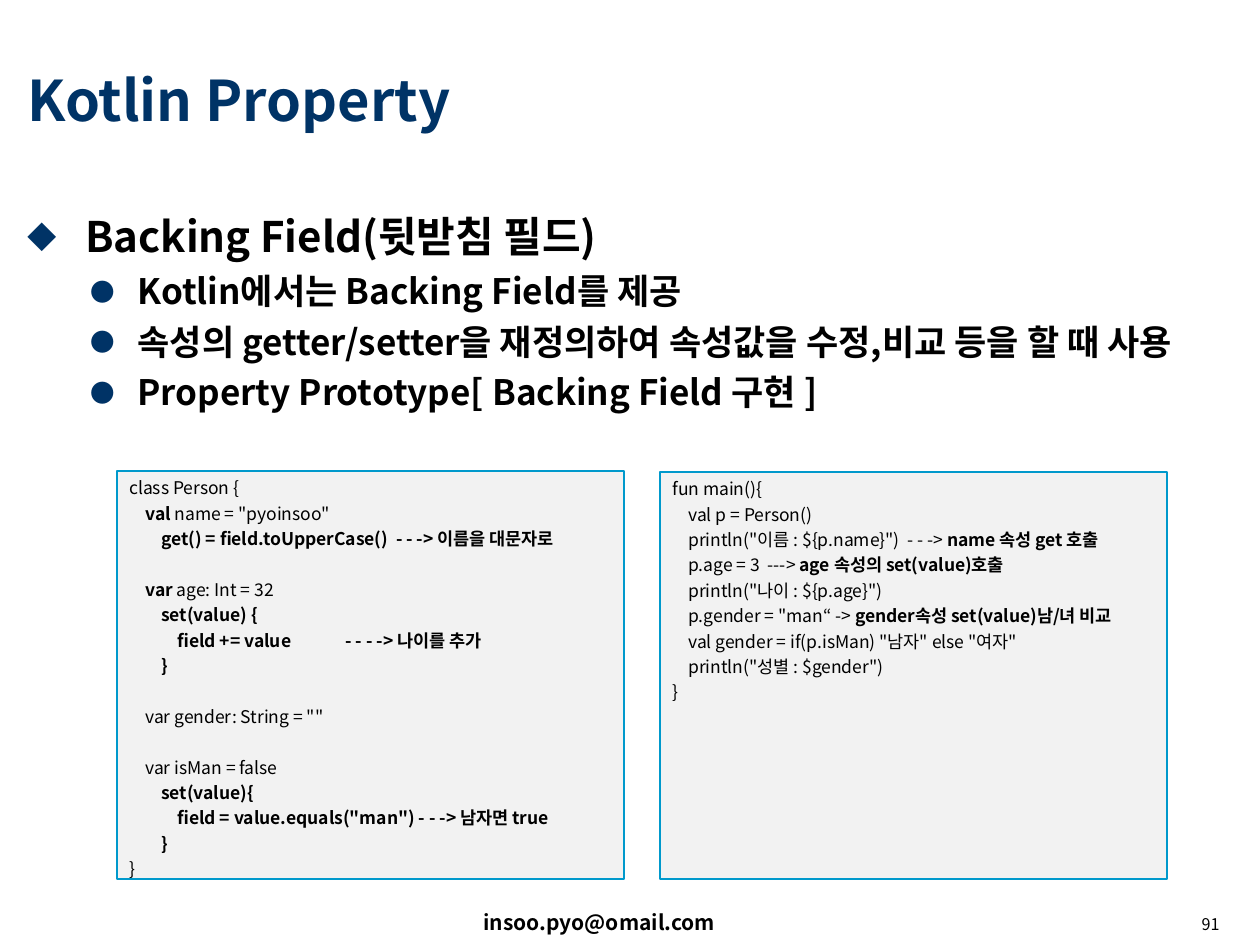
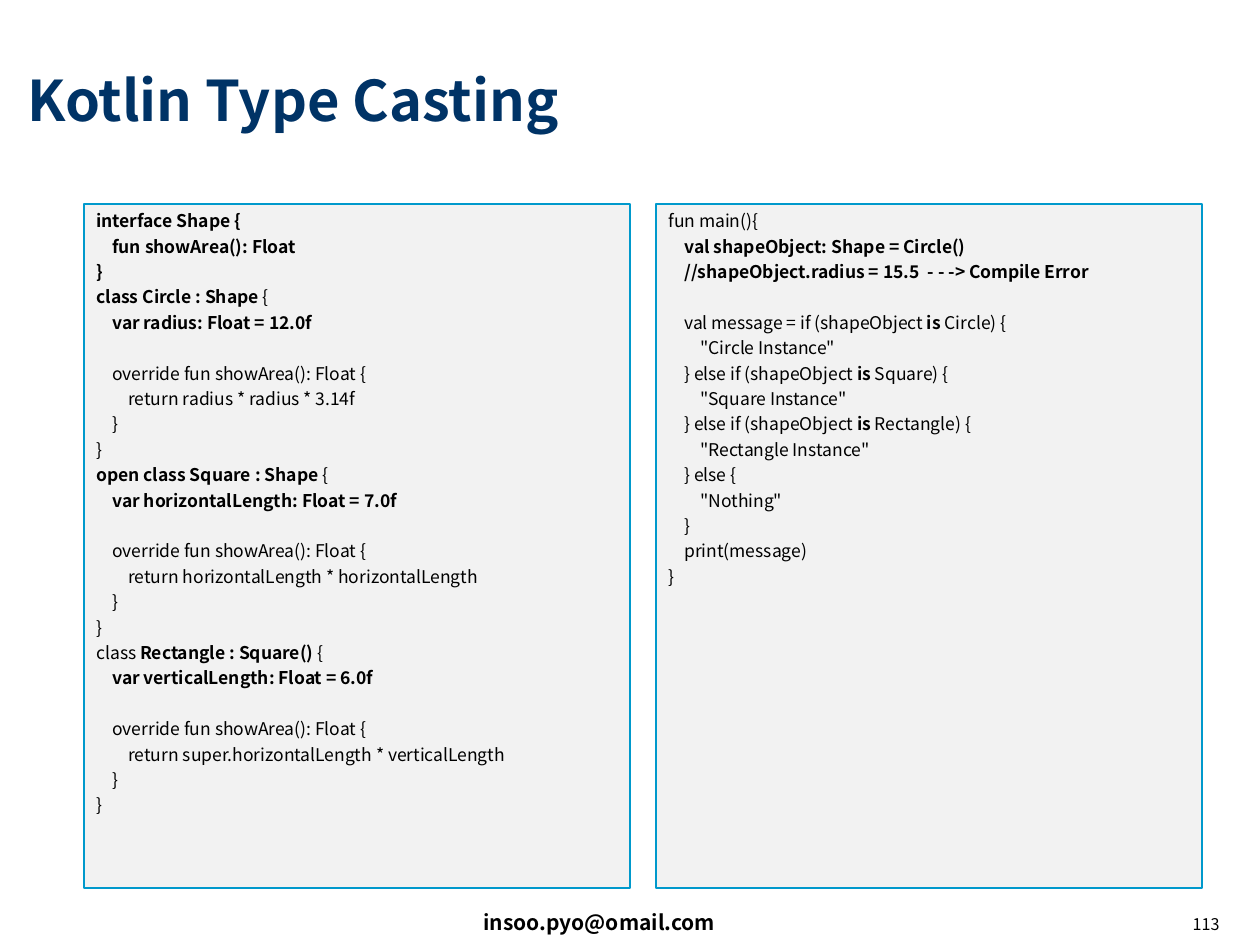
from lxml import etree
from pptx import Presentation
from pptx import util as u
from pptx.dml.color import RGBColor
from pptx.enum import shapes, text
from pptx.oxml.ns import qn

SCALE = u.Inches(1) / 126  # EMU in one px
FONT = "Noto Sans CJK KR"
COLORS = {"navy": "003366", "ink": "000000", "panel": "F2F2F2", "border": "0099CC"}
EMAIL = "insoo.pyo@omail.com"
TITLE_BOX = (15, 23, 1217, 152)
BODY_BOX = (15, 204, 1217, 675)
EMAIL_BOX = (471, 903, 407, 38)
PAGE_BOX = (970, 910, 262, 35)
CODE_TABS = (16, 32, 48, 216)  # three indent steps and the remark column
LINE_GAP, BLANK_LINE_GAP = 2.5, 17
BULLETS = [("◆", 48, -48, 24, 6), ("●", 102, -39, 20, 5)]  # mark, margin, indent, size, gap

person_code = '''class Person {
    **val** name = "pyoinsoo"
        **get() = field.toUpperCase()  - - -> 이름을 대문자로**

    **var** age: Int = 32
        **set(value) {**
            **field += value\t- - - -> 나이를 추가**
        **}**

    var gender: String = ""

    var isMan = false
        **set(value){**
            **field = value.equals("man") - - -> 남자면 true**
        **}**
}'''

person_main_code = '''fun main(){
    val p = Person()
    println("이름 : ${p.name}")  - - -> **name 속성 get 호출**
    p.age = 3  ---> **age 속성의 set(value)호출**
    println("나이 : ${p.age}")
    p.gender = "man“ -> **gender속성 set(value)남/녀 비교**
    val gender = if(p.isMan) "남자" else "여자"
    println("성별 : $gender")
}'''

shape_code = '''**interface Shape {**
    **fun showArea(): Float**
**}**
**class Circle : Shape **{
    **var radius: Float = 12.0f**

    override fun showArea(): Float {
        return radius * radius * 3.14f
    }
}
**open class Square : Shape **{
    **var horizontalLength: Float = 7.0f**

    override fun showArea(): Float {
        return horizontalLength * horizontalLength
    }
}
class **Rectangle : Square() **{
    **var verticalLength: Float = 6.0f**

    override fun showArea(): Float {
        return super.horizontalLength * verticalLength
    }
}'''

casting_main_code = '''fun main(){
    **val shapeObject: Shape = Circle()**
    **//shapeObject.radius = 15.5  - - -> Compile Error**

    val message = if (shapeObject **is** Circle) {
        "Circle Instance"
    } else if (shapeObject **is** Square) {
        "Square Instance"
    } else if (shapeObject **is** Rectangle) {
        "Rectangle Instance"
    } else {
        "Nothing"
    }
    print(message)
}'''

pages = [
    {
        "title": "Kotlin Property",
        "number": "91",
        "list": [
            (0, " Backing Field(뒷받침 필드)"),
            (1, " Kotlin에서는 Backing Field를 제공"),
            (1, " 속성의 getter/setter을 재정의하여 속성값을 수정,비교 등을 할 때 사용"),
            (1, " Property Prototype[ Backing Field 구현 ]"),
        ],
        "panels": [
            ((117, 471, 507, 408), person_code),
            ((660, 472, 507, 407), person_main_code),
        ],
    },
    {
        "title": "Kotlin Type Casting",
        "number": "113",
        "list": [],
        "panels": [
            ((84, 204, 546, 684), shape_code),
            ((656, 204, 546, 684), casting_main_code),
        ],
    },
]


def px(*lengths):
    """Turn px into a list of EMU."""
    return [u.Emu(round(length * SCALE)) for length in lengths]


def style(paragraph, size, color="ink", bold=None, extras=()):
    """Set font and left alignment; extras are further property elements."""
    font = paragraph.font
    font.size, font.bold, font.name = u.Pt(size), bold, FONT
    font.color.rgb = RGBColor.from_string(COLORS[color])
    paragraph.alignment = text.PP_ALIGN.LEFT
    defaults = paragraph._p.pPr.find(qn("a:defRPr"))
    etree.SubElement(defaults, qn("a:ea"), typeface=FONT)
    for extra in extras:
        defaults.addprevious(extra)


prs = Presentation()
prs.slide_width, prs.slide_height = px(1260, 945)

for page in pages:
    layout = prs.slide_layouts[1 if page["list"] else 5]
    slide = prs.slides.add_slide(layout)

    title = slide.shapes.title
    title.left, title.top, title.width, title.height = px(*TITLE_BOX)
    title.text_frame.text = page["title"]
    title.text_frame.auto_size = text.MSO_AUTO_SIZE.NONE
    title.text_frame.vertical_anchor = text.MSO_ANCHOR.MIDDLE
    style(title.text_frame.paragraphs[0], 32, "navy", True)

    if page["list"]:
        body = slide.placeholders[1]
        body.left, body.top, body.width, body.height = px(*BODY_BOX)
        body.text_frame.auto_size = text.MSO_AUTO_SIZE.NONE
        body.text_frame.text = "\n".join(words for _, words in page["list"])
        for item, (level, _) in zip(body.text_frame.paragraphs, page["list"]):
            mark, margin, indent, size, gap = BULLETS[level]
            bullet_color = etree.Element(qn("a:buClr"))
            etree.SubElement(bullet_color, qn("a:srgbClr"), val=COLORS["navy"])
            bullet_size = etree.Element(qn("a:buSzPct"), val="70000")
            bullet_font = etree.Element(qn("a:buFont"), typeface=FONT)
            bullet = etree.Element(qn("a:buChar"), char=mark)
            item.level = level
            item.space_before = u.Pt(gap)
            style(item, size, bold=True,
                  extras=[bullet_color, bullet_size, bullet_font, bullet])
            margin, indent = px(margin, indent)
            item._p.pPr.set("marL", str(margin))
            item._p.pPr.set("indent", str(indent))

    email = slide.shapes.add_textbox(*px(*EMAIL_BOX)).text_frame
    email.word_wrap = True
    email.text = EMAIL
    style(email.paragraphs[0], 12, bold=True)

    number = slide.shapes.add_textbox(*px(*PAGE_BOX)).text_frame
    number.word_wrap = True
    number.text = page["number"]
    style(number.paragraphs[0], 9.2)
    number.paragraphs[0].alignment = text.PP_ALIGN.RIGHT
    number.paragraphs[0].line_spacing = 0.9
    number.paragraphs[0].space_before = u.Pt(6.2)

    for box, code in page["panels"]:
        panel = slide.shapes.add_shape(shapes.MSO_SHAPE.RECTANGLE, *px(*box))
        panel.shadow.inherit = False
        panel.fill.solid()
        panel.fill.fore_color.rgb = RGBColor.from_string(COLORS["panel"])
        panel.line.color.rgb = RGBColor.from_string(COLORS["border"])
        panel.line.width = u.Pt(1.5)
        frame = panel.text_frame
        frame.word_wrap = True
        frame.vertical_anchor = text.MSO_ANCHOR.TOP

        gap, line = LINE_GAP, frame.paragraphs[0]
        for source in code.split("\n"):
            if not source:
                gap = BLANK_LINE_GAP
                continue
            if line.runs:
                line = frame.add_paragraph()
            line.space_before = u.Pt(gap)
            gap = LINE_GAP
            tabs = etree.Element(qn("a:tabLst"))
            for stop in px(*CODE_TABS):
                etree.SubElement(tabs, qn("a:tab"), pos=str(stop), algn="l")
            style(line, 10, extras=[tabs])
            tabbed = source.replace("    ", "\t")
            for index, part in enumerate(tabbed.split("**")):
                if part:
                    run = line.add_run()
                    run.text = part
                    if index % 2:
                        run.font.bold = True

prs.save("out.pptx")
